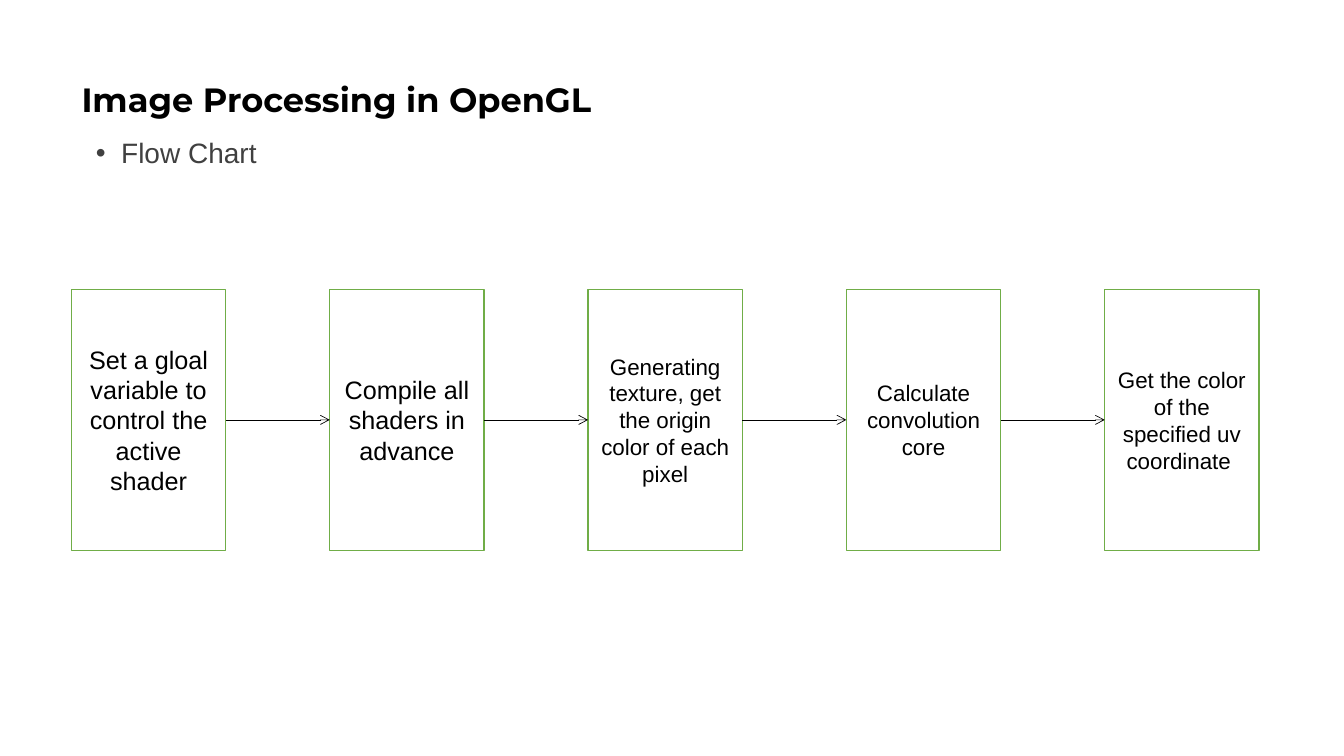
from lxml import etree
from pptx import Presentation
from pptx.dml.color import RGBColor
from pptx.enum.shapes import MSO_CONNECTOR, MSO_SHAPE
from pptx.enum.text import MSO_ANCHOR, MSO_AUTO_SIZE, PP_ALIGN
from pptx.oxml.ns import qn
from pptx.util import Cm, Pt

RECT = MSO_SHAPE.RECTANGLE
STRAIGHT = MSO_CONNECTOR.STRAIGHT
LEFT, CENTER = PP_ALIGN.LEFT, PP_ALIGN.CENTER
TOP, MIDDLE = MSO_ANCHOR.TOP, MSO_ANCHOR.MIDDLE
NO_FIT = MSO_AUTO_SIZE.NONE

BLACK = RGBColor(0x00, 0x00, 0x00)
WHITE = RGBColor(0xFF, 0xFF, 0xFF)
GRAY = RGBColor(0x40, 0x40, 0x40)
GREEN = RGBColor(0x70, 0xAD, 0x47)

LEFT_SITE, RIGHT_SITE = 1, 3  # connection sites of a rectangle

STEPS = [
    ("Set a gloal variable to control the active shader", 18),
    ("Compile all shaders in advance", 18),
    ("Generating texture, get the origin color of each pixel", 16),
    ("Calculate convolution core", 16),
    ("Get the color of the specified uv coordinate ", 16),
]
FIRST_X, STEP_Y = 1.8, 7.29
STEP_W, STEP_H = 3.89, 6.58
PITCH = 6.51


class FlowSlide:
    """Holds the text style and the slide being built."""

    body_font = "Arial"
    title_font = "Montserrat"

    def __init__(self, prs):
        self.slide = prs.slides.add_slide(prs.slide_layouts[1])

    def add_text(self, sp, text, size, color, align, anchor, font=body_font, bold=False):
        tf = sp.text_frame
        tf.word_wrap = True
        tf.auto_size = NO_FIT
        tf.vertical_anchor = anchor
        p = tf.paragraphs[0]
        p.alignment = align
        r = p.add_run()
        r.text = text
        r.font.name = font
        r.font.size = Pt(size)
        r.font.bold = bold
        r.font.color.rgb = color
        return p

    def place(self, sp, x, y, w, h):
        sp.left, sp.top, sp.width, sp.height = Cm(x), Cm(y), Cm(w), Cm(h)

    def title(self, text):
        sp = self.slide.shapes.title
        self.place(sp, 1.8, 0.71, 29.21, 3.68)
        p = self.add_text(sp, text, 24, BLACK, LEFT, MIDDLE, self.title_font, True)
        p.line_spacing = 0.9

    def bullet(self, text):
        sp = self.slide.placeholders[1]
        self.place(sp, 2.16, 3.38, 16.48, 1.85)
        p = self.add_text(sp, text, 20, GRAY, LEFT, TOP)
        p.line_spacing = 0.9
        p.space_before = Pt(10)
        pPr = p._p.get_or_add_pPr()
        pPr.set("marL", str(Cm(0.64)))
        pPr.set("indent", str(Cm(-0.64)))
        etree.SubElement(pPr, qn("a:buFont"), typeface=self.body_font)
        etree.SubElement(pPr, qn("a:buChar"), char="•")

    def step(self, x, text, size):
        sp = self.slide.shapes.add_shape(RECT, Cm(x), Cm(STEP_Y), Cm(STEP_W), Cm(STEP_H))
        sp.shadow.inherit = False
        sp.fill.solid()
        sp.fill.fore_color.rgb = WHITE
        sp.line.color.rgb = GREEN
        sp.line.width = Pt(1)
        self.add_text(sp, text, size, BLACK, CENTER, MIDDLE)
        return sp

    def arrow(self, start, end):
        cxn = self.slide.shapes.add_connector(STRAIGHT, 0, 0, 0, 0)
        cxn.begin_connect(start, RIGHT_SITE)
        cxn.end_connect(end, LEFT_SITE)
        cxn.line.color.rgb = BLACK
        cxn.line.width = Pt(0.5)
        etree.SubElement(cxn.line._get_or_add_ln(), qn("a:tailEnd"), type="arrow")
        etree.SubElement(cxn._element.spPr, qn("a:effectLst"))


def main():
    prs = Presentation()
    prs.slide_width, prs.slide_height = Cm(33.87), Cm(19.05)
    s = FlowSlide(prs)
    s.title("Image Processing in OpenGL")
    s.bullet("Flow Chart")
    boxes = [s.step(FIRST_X + i * PITCH, text, size)
             for i, (text, size) in enumerate(STEPS)]
    for start, end in zip(boxes, boxes[1:]):
        s.arrow(start, end)
    prs.save("out.pptx")


if __name__ == "__main__":
    main()
